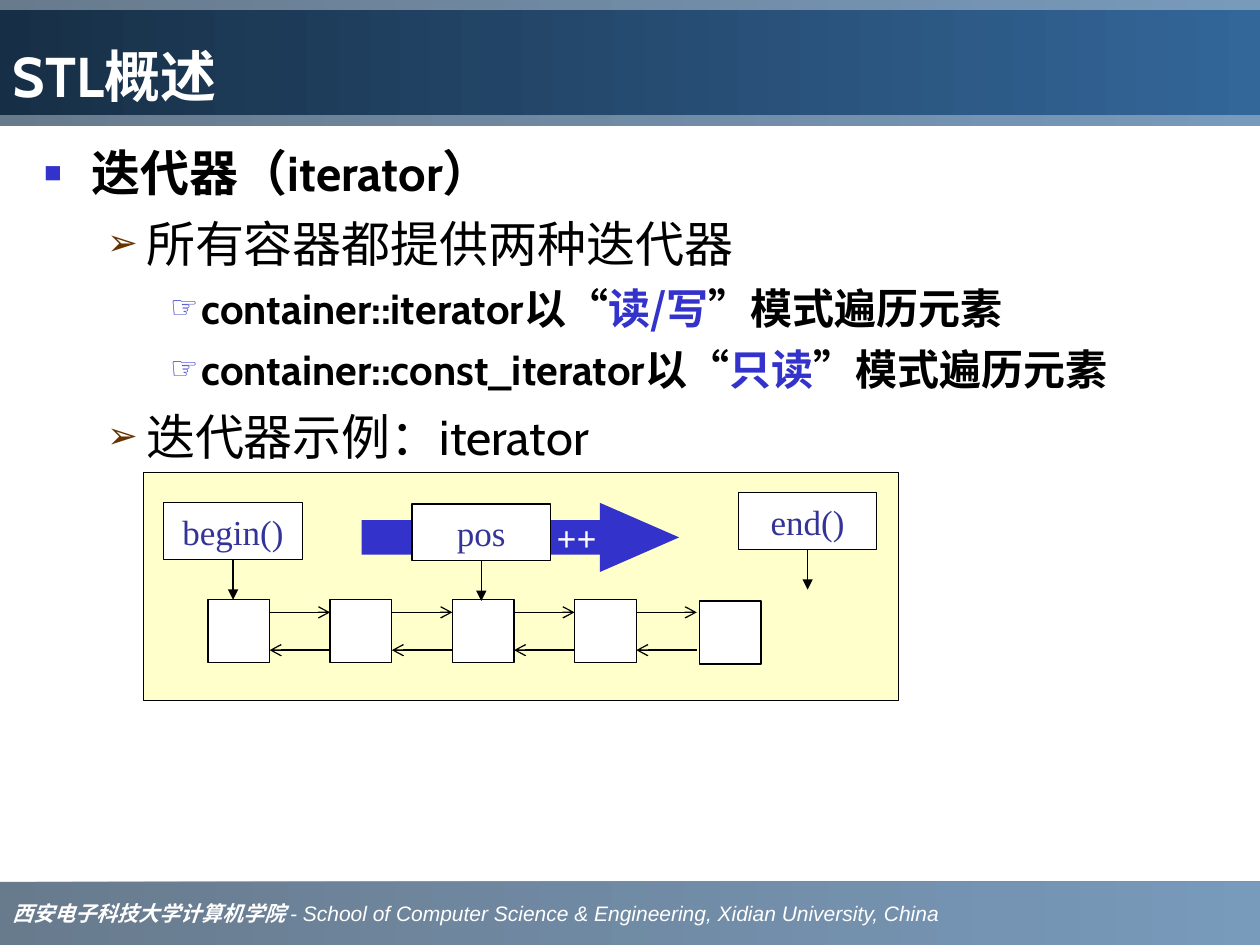
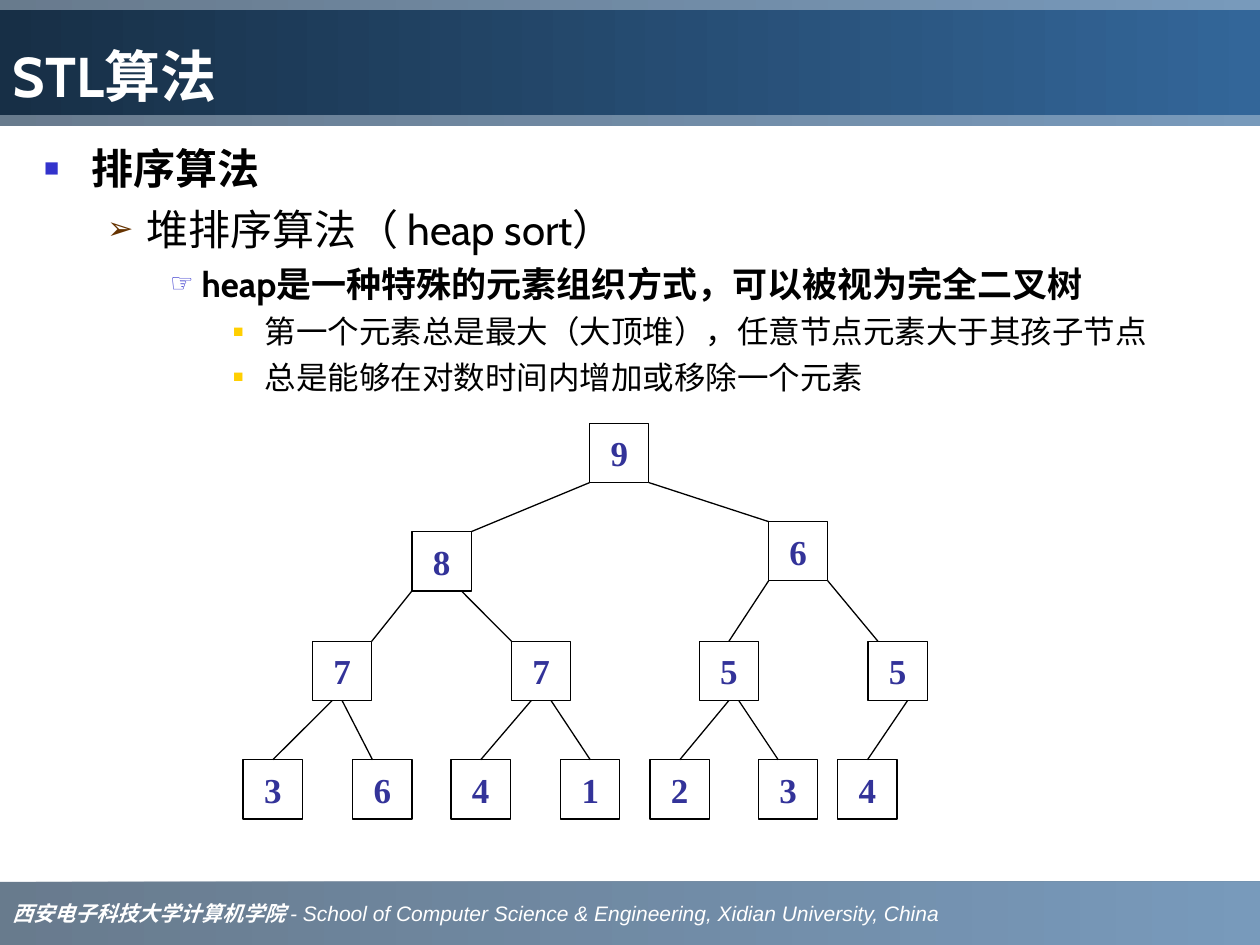
from typing import NamedTuple

from lxml import etree
from pptx import Presentation
from pptx.dml.color import RGBColor
from pptx.enum.shapes import MSO_CONNECTOR, MSO_SHAPE
from pptx.enum.text import MSO_ANCHOR, MSO_AUTO_SIZE, PP_ALIGN
from pptx.oxml.ns import qn
from pptx.util import Inches, Pt

RECTANGLE = MSO_SHAPE.RECTANGLE
RIGHT_ARROW = MSO_SHAPE.RIGHT_ARROW
STRAIGHT = MSO_CONNECTOR.STRAIGHT
LEFT, CENTER, RIGHT = PP_ALIGN.LEFT, PP_ALIGN.CENTER, PP_ALIGN.RIGHT
MIDDLE, TOP, BOTTOM = MSO_ANCHOR.MIDDLE, MSO_ANCHOR.TOP, MSO_ANCHOR.BOTTOM
NO_AUTOFIT = MSO_AUTO_SIZE.NONE
TOP_SITE, BOTTOM_SITE = 0, 2

# Colours and fonts
WHITE = RGBColor(0xFF, 0xFF, 0xFF)
BLACK = RGBColor(0x00, 0x00, 0x00)
BLUE = RGBColor(0x33, 0x33, 0xCC)
INDIGO = RGBColor(0x33, 0x33, 0x99)
BROWN = RGBColor(0x66, 0x33, 0x00)
GOLD = RGBColor(0xFF, 0xCF, 0x01)
CREAM = RGBColor(0xFF, 0xFF, 0xCC)
STEEL = RGBColor(0x33, 0x66, 0x99)
NAVY = RGBColor(0x1B, 0x37, 0x53)
DARK_NAVY = RGBColor(0x17, 0x2F, 0x46)
CABIN, CHINESE, SERIF, SANS = "Cabin", "Noto Sans CJK SC", "Times New Roman", "Arial"

BOX_LABEL = {"name": SERIF, "size": Pt(20), "bold": False}
NODE_LABEL = {**BOX_LABEL, "bold": True}
TITLE_FONT = {"name": CABIN, "size": Pt(32), "bold": True}
FOOTER_FONT = {"name": SERIF, "size": Pt(12), "bold": True, "italic": True}


class Box(NamedTuple):
    left: float
    top: float
    width: float
    height: float


class Level(NamedTuple):
    margin: float
    indent: float
    symbol: str
    color: RGBColor
    percent: int
    bold: bool


class Item(NamedTuple):
    level: int
    size: int
    segments: tuple[str, ...]  # every second segment is emphasised


class Node(NamedTuple):
    value: str
    left: float
    top: float
    parent_sixth: int = 0  # where the edge leaves the parent, in sixths of its width
    own_sixth: int = 0  # where the edge meets this node


LEVELS = (
    Level(0.38, -0.38, "■", BLUE, 60, True),
    Level(0.81, -0.31, "➢", BROWN, 75, False),
    Level(1.25, -0.25, "☞", BLUE, 75, True),
    Level(1.75, -0.25, "■", GOLD, 55, False),
)
FOOTER_BAND = Box(0, 7, 10, 0.5)
HEADER_BAND = Box(0, 0, 10, 1)
TITLE_BAND = Box(0, 0.08, 10, 0.83)
BODY_AREA = Box(0.25, 1.08, 9.42, 5.83)

ITERATOR_ITEMS = (
    Item(0, 28, ("迭代器（iterator）",)),
    Item(1, 28, ("所有容器都提供两种迭代器",)),
    Item(2, 24, ("container::iterator以“", "读/写", "”模式遍历元素")),
    Item(2, 24, ("container::const_iterator以“", "只读", "”模式遍历元素")),
    Item(1, 28, ("迭代器示例：iterator",)),
)
HEAP_ITEMS = (
    Item(0, 24, ("排序算法",)),
    Item(1, 24, ("堆排序算法（ heap sort）",)),
    Item(2, 20, ("heap是一种特殊的元素组织方式，可以被视为完全二叉树",)),
    Item(3, 18, ("第一个元素总是最大（大顶堆），任意节点元素大于其孩子节点",)),
    Item(3, 18, ("总是能够在对数时间内增加或移除一个元素",)),
)

# Heap in level order: the parent of node i is node (i - 1) // 2
NODE_SIZE = 0.47
HEAP = (
    Node("9", 4.68, 3.36),
    Node("8", 3.27, 4.22, 0, 6),
    Node("6", 6.1, 4.14, 6, 0),
    Node("7", 2.48, 5.09, 0, 6),
    Node("7", 4.06, 5.09, 5, 0),
    Node("5", 5.55, 5.09, 0, 3),
    Node("5", 6.89, 5.09, 6, 1),
    Node("3", 1.93, 6.03, 2, 3),
    Node("6", 2.8, 6.03, 3, 2),
    Node("4", 3.58, 6.03, 2, 3),
    Node("1", 4.45, 6.03, 4, 3),
    Node("2", 5.16, 6.03, 3, 3),
    Node("3", 6.02, 6.03, 4, 2),
    Node("4", 6.65, 6.03, 4, 3),
)


def place(shape, box: Box) -> None:
    for name, value in zip(("left", "top", "width", "height"), box):
        setattr(shape, name, Inches(value))


def add_run(paragraph, text: str, font_format: dict, color: RGBColor) -> None:
    run = paragraph.add_run()
    run.text = text
    for name, value in font_format.items():
        setattr(run.font, name, value)
    run.font.color.rgb = color
    etree.SubElement(run.font._element, qn("a:ea"), typeface=CHINESE)


def format_frame(frame, anchor, inset_x: float, inset_y: float) -> None:
    settings = {
        "word_wrap": True, "auto_size": NO_AUTOFIT, "vertical_anchor": anchor,
        "margin_left": Inches(inset_x), "margin_right": Inches(inset_x),
        "margin_top": Inches(inset_y), "margin_bottom": Inches(inset_y),
    }
    for name, value in settings.items():
        setattr(frame, name, value)


def fill_gradient(shape, start: RGBColor, end: RGBColor, opacity: int = 100) -> None:
    shape.fill.gradient()
    shape.fill.gradient_angle = 0
    for stop, color, position in zip(shape.fill.gradient_stops, (start, end), (0, 1)):
        stop.color.rgb = color
        stop.position = position
    if opacity < 100:
        for color in shape.element.spPr.iter(qn("a:srgbClr")):
            etree.SubElement(color, qn("a:alpha"), val=str(opacity * 1000))


def add_box(slide, box: Box, fill: RGBColor = WHITE, outlined: bool = True,
            kind=RECTANGLE):
    shape = slide.shapes.add_shape(kind, *map(Inches, box))
    shape.shadow.inherit = False
    shape.fill.solid()
    shape.fill.fore_color.rgb = fill
    if outlined:
        shape.line.color.rgb = BLACK
        shape.line.width = Pt(0.75)
    else:
        shape.line.fill.background()
    return shape


def add_label(shape, text: str, font_format: dict, color: RGBColor = INDIGO,
              alignment=CENTER) -> None:
    format_frame(shape.text_frame, MIDDLE, 0, 0)
    paragraph = shape.text_frame.paragraphs[0]
    paragraph.alignment = alignment
    add_run(paragraph, text, font_format, color)


def add_line(slide, start: tuple[float, float], end: tuple[float, float],
             arrowhead: str = ""):
    connector = slide.shapes.add_connector(STRAIGHT, *map(Inches, (*start, *end)))
    connector.line.color.rgb = BLACK
    connector.line.width = Pt(0.75)
    properties = connector.element.spPr
    if arrowhead:
        etree.SubElement(properties.find(qn("a:ln")), qn("a:tailEnd"), type=arrowhead)
    etree.SubElement(properties, qn("a:effectLst"))
    return connector


def add_shared_bands(slide) -> None:
    """Draw the header and footer bands and move them to the slide's layout."""
    layout = slide.slide_layout
    for placeholder in list(layout.placeholders)[2:]:
        layout.shapes.element.remove(placeholder.element)
    footer, header = (add_box(slide, box, outlined=False)
                      for box in (FOOTER_BAND, HEADER_BAND))
    format_frame(footer.text_frame, MIDDLE, 0.1, 0.05)
    paragraph = footer.text_frame.paragraphs[0]
    paragraph.alignment = LEFT
    add_run(paragraph, "西安电子科技大学计算机学院 ", FOOTER_FONT, WHITE)
    add_run(paragraph, "- School of Computer Science & Engineering, Xidian University, China",
            {**FOOTER_FONT, "name": SANS, "bold": False}, WHITE)
    for band in (footer, header):
        fill_gradient(band, NAVY, STEEL, opacity=66)
        layout.shapes.element.append(band.element)


def set_title(slide, text: str) -> None:
    title = slide.shapes.title
    place(title, TITLE_BAND)
    fill_gradient(title, DARK_NAVY, STEEL)
    format_frame(title.text_frame, BOTTOM, 0.1, 0.05)
    paragraph = title.text_frame.paragraphs[0]
    paragraph.alignment = LEFT
    add_run(paragraph, text, TITLE_FONT, WHITE)


def set_bullet(paragraph, level: Level) -> None:
    properties = paragraph._p.get_or_add_pPr()
    properties.set("marL", str(Inches(level.margin)))
    properties.set("indent", str(Inches(level.indent)))
    color = etree.SubElement(properties, qn("a:buClr"))
    etree.SubElement(color, qn("a:srgbClr"), val=str(level.color))
    etree.SubElement(properties, qn("a:buSzPct"), val=str(level.percent * 1000))
    etree.SubElement(properties, qn("a:buChar"), char=level.symbol)


def set_body(slide, items: tuple[Item, ...]) -> None:
    body = slide.placeholders[1]
    place(body, BODY_AREA)
    frame = body.text_frame
    format_frame(frame, TOP, 0.1, 0.05)
    for index, item in enumerate(items):
        paragraph = frame.add_paragraph() if index else frame.paragraphs[0]
        level = LEVELS[item.level]
        paragraph.level = item.level
        paragraph.space_before = Pt(item.size / 4 if index else 0)
        set_bullet(paragraph, level)
        for segment_index, text in enumerate(item.segments):
            emphasised = segment_index % 2 == 1
            font_format = {"name": CHINESE if emphasised else CABIN,
                           "size": Pt(item.size), "bold": level.bold}
            add_run(paragraph, text, font_format, BLUE if emphasised else BLACK)


def add_pointer(slide, text: str, left: float, top: float) -> None:
    """A labelled box with an arrow pointing down from it."""
    box = Box(left, top, 1.1, 0.45)
    shape = add_box(slide, box)
    add_label(shape, text, BOX_LABEL)
    middle, bottom = left + box.width / 2, top + box.height
    arrow = add_line(slide, (middle, bottom), (middle, bottom + 0.32), "triangle")
    arrow.begin_connect(shape, BOTTOM_SITE)


def draw_linked_list(slide) -> None:
    add_box(slide, Box(1.14, 3.75, 5.99, 1.81), CREAM)
    # Cells with forward and backward links
    pitch, width, height = 0.97, 0.49, 0.5
    for index in range(4):
        left = 1.65 + index * pitch
        add_box(slide, Box(left, 4.76, width, height))
        right, next_left = left + width, left + pitch
        add_line(slide, (right, 4.86), (next_left, 4.86), "arrow")
        add_line(slide, (next_left, 5.16), (right, 5.16), "arrow")
    add_box(slide, Box(5.55, 4.77, width, height))
    # Iterator positions and the increment arrow
    add_pointer(slide, "begin()", 1.3, 3.99)
    add_pointer(slide, "end()", 5.86, 3.91)
    increment = add_box(slide, Box(2.87, 3.99, 2.52, 0.55), BLUE, False, RIGHT_ARROW)
    increment.adjustments[1] = 1.145
    add_label(increment, "++", NODE_LABEL, WHITE, RIGHT)
    increment.text_frame.margin_right = Inches(0.34)
    add_pointer(slide, "pos", 3.27, 4)


def draw_heap(slide) -> None:
    shapes = []
    for node in HEAP:
        shape = add_box(slide, Box(node.left, node.top, NODE_SIZE, NODE_SIZE))
        add_label(shape, node.value, NODE_LABEL)
        shapes.append(shape)
    # Edges, joined where they meet the middle of a side
    for index, node in enumerate(HEAP[1:], start=1):
        parent_index = (index - 1) // 2
        parent = HEAP[parent_index]
        start = (parent.left + NODE_SIZE * node.parent_sixth / 6, parent.top + NODE_SIZE)
        end = (node.left + NODE_SIZE * node.own_sixth / 6, node.top)
        edge = add_line(slide, start, end)
        if node.parent_sixth == 3:
            edge.begin_connect(shapes[parent_index], BOTTOM_SITE)
        if node.own_sixth == 3:
            edge.end_connect(shapes[index], TOP_SITE)


def main() -> None:
    presentation = Presentation()
    presentation.slide_width, presentation.slide_height = Inches(10), Inches(7.5)
    layout = presentation.slide_layouts[1]
    pages = (("STL概述", ITERATOR_ITEMS, draw_linked_list),
             ("STL算法", HEAP_ITEMS, draw_heap))
    for index, (title, items, draw_diagram) in enumerate(pages):
        slide = presentation.slides.add_slide(layout)
        if index == 0:
            add_shared_bands(slide)
        set_title(slide, title)
        set_body(slide, items)
        draw_diagram(slide)
    presentation.save("out.pptx")


if __name__ == "__main__":
    main()
